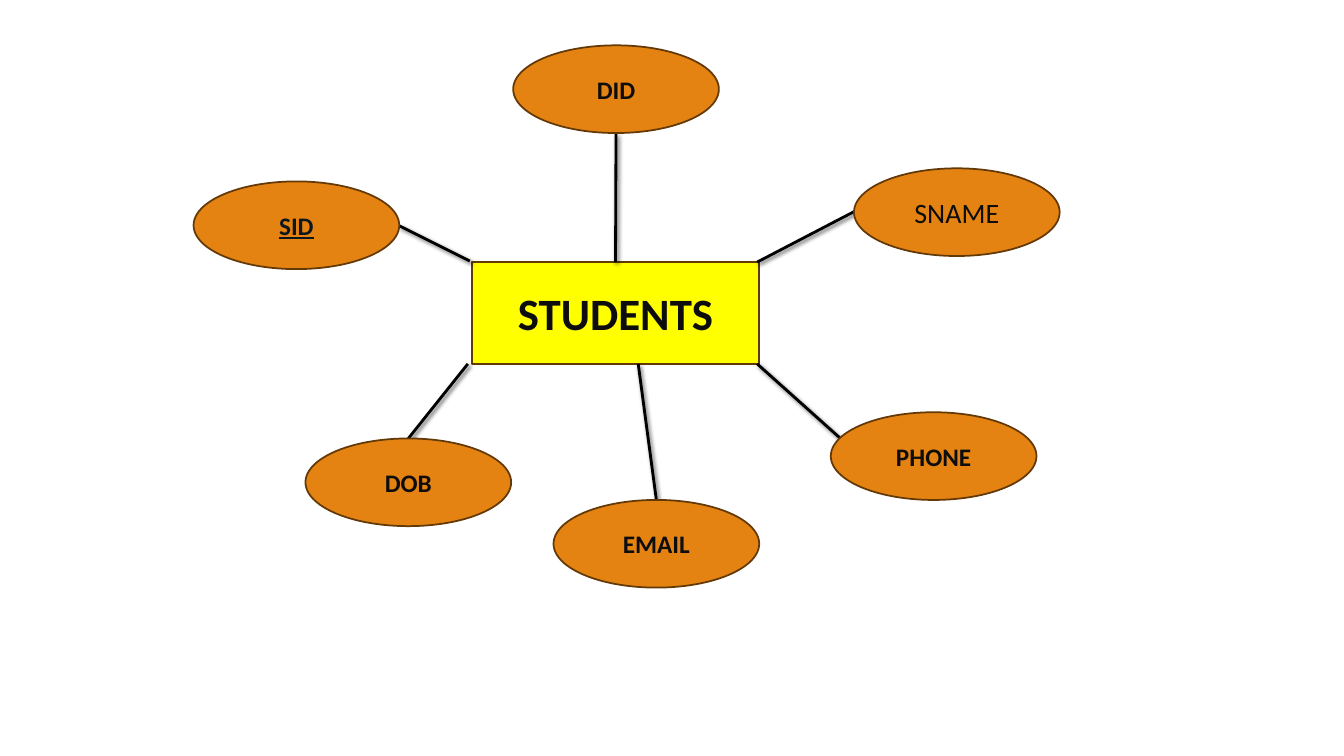
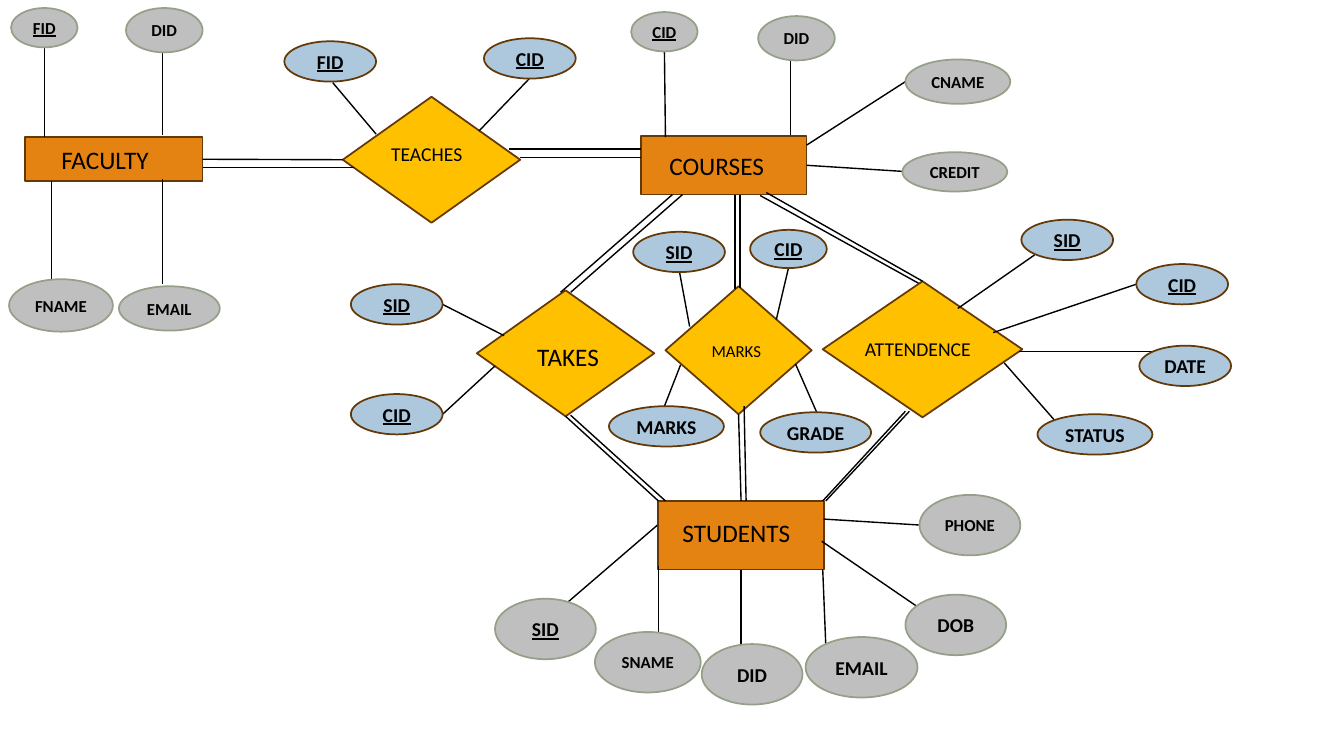
import math
import pptx
import pptx.util
import pptx.dml.color
import pptx.enum.shapes
import pptx.enum.text
import pptx.oxml
import pptx.oxml.ns

Inches, Pt = pptx.util.Inches, pptx.util.Pt
FORMS = pptx.enum.shapes.MSO_SHAPE
ALIGN = pptx.enum.text.PP_ALIGN
FONT = "Calibri"
HUES = {
    "black": "000000", "ink": "0D0D0D", "navy": "0D171F", "brown": "643908",
    "orange": "E48312", "yellow": "FFFF00", "gold": "FFC000",
    "grey": "BFBFBF", "sage": "94A088", "blue": "ADC8DD",
}
SHADE = (
    '<a:outerShdw blurRad="38100" dist="25400" dir="2700000" rotWithShape="0">'
    '<a:srgbClr val="000000"><a:alpha val="60000"/></a:srgbClr></a:outerShdw>'
)

# Attribute: name, place from the node's corner, size, key, line from, line to
STAR = [
    ("DID", (0.41, -2.15, 2.04, 0.87), 18, False, (1.43, 0), (1.43, -1.27)),
    ("SID", (-2.76, -0.8, 2.04, 0.87), 18, True, (-0.02, -0.01), (-0.72, -0.36)),
    ("DOB", (-1.65, 1.75, 2.04, 0.87), 18, False, (-0.04, 1.01), (-0.63, 1.75)),
    ("SNAME", (3.79, -0.93, 2.04, 0.87), 20, False, (2.83, 0), (3.79, -0.5)),
    ("EMAIL", (0.81, 2.36, 2.04, 0.87), 18, False, (1.65, 1.01), (1.83, 2.36)),
    ("PHONE", (3.56, 1.49, 2.04, 0.87), 18, False, (2.83, 1.01), (3.69, 1.78)),
]

# Node: name, box, label place from the corner (left, top, width), size, attributes
ENTITIES = [
    ("FACULTY", (0.25, 1.36, 1.76, 0.44), (0.26, 0.02, 1.1), 18, [
        ("FID", (-0.14, -1.28, 0.66, 0.39), 12, True, (0.19, 0), (0.19, -0.9)),
        ("DID", (1, -1.28, 0.76, 0.44), 12, False, (1.36, -0.02), (1.36, -0.9)),
        ("FNAME", (-0.16, 1.41, 1.03, 0.52), 12, False, (0.26, 0.44), (0.26, 1.48)),
        ("EMAIL", (0.93, 1.48, 1, 0.44), 12, False, (1.36, 0.42), (1.36, 1.46)),
    ]),
    ("COURSES", (6.36, 1.35, 1.64, 0.58), (0.18, 0.09, 1.3), 18, [
        ("CID", (-0.1, -1.23, 0.66, 0.39), 12, True, (0.24, 0.01), (0.23, -0.84)),
        ("DID", (1.16, -1.19, 0.76, 0.44), 12, False, (1.48, -0.01), (1.48, -0.75)),
        ("CNAME", (2.62, -0.76, 1.04, 0.44), 12, False, (1.64, 0.09), (2.62, -0.54)),
        ("CREDIT", (2.59, 0.16, 1.04, 0.39), 12, False, (1.64, 0.29), (2.59, 0.35)),
    ]),
    ("STUDENTS", (6.53, 4.97, 1.64, 0.68), (0.14, 0.11, 1.75), 18, [
        ("SID", (-1.62, 0.97, 1, 0.6), 14, True, (-0.01, 0.24), (-0.94, 1.04)),
        ("SNAME", (-0.63, 1.3, 1.05, 0.6), 12, False, (0, 0.65), (0, 1.34)),
        ("DID", (0.43, 1.42, 1, 0.6), 14, False, (0.82, 0.68), (0.82, 1.42)),
        ("EMAIL", (1.46, 1.35, 1.11, 0.6), 14, False, (1.63, 0.68), (1.66, 1.42)),
        ("DOB", (2.45, 0.93, 1, 0.6), 14, False, (1.62, 0.4), (2.57, 1.05)),
        ("PHONE", (2.59, -0.06, 1, 0.6), 12, False, (1.64, 0.18), (2.61, 0.24)),
    ]),
]
RELATIONS = [
    ("TEACHES", (3.4, 0.96, 1.76, 1.25), (0.38, 0.4, 0.98), 14, [
        ("FID", (-0.58, -0.55, 0.91, 0.4), 14, True, (0.33, 0.37), (-0.1, -0.14)),
        ("CID", (1.4, -0.58, 0.91, 0.4), 14, True, (1.35, 0.34), (1.85, -0.18)),
    ]),
    ("TAKES", (4.73, 2.88, 1.76, 1.25), (0.5, 0.46, 1.19), 18, [
        ("SID", (-1.25, -0.06, 0.91, 0.4), 14, True, (0.27, 0.45), (-0.34, 0.14)),
        ("CID", (-1.25, 1.03, 0.91, 0.4), 14, True, (0.18, 0.75), (-0.34, 1.23)),
    ]),
    ("MARKS", (6.6, 2.84, 1.45, 1.27), (0.36, 0.49, 0.76), 12, [
        ("SID", (-0.32, -0.54, 0.91, 0.4), 14, True, (0.24, 0.4), (0.14, -0.14)),
        ("CID", (0.84, -0.56, 0.76, 0.38), 14, True, (1.1, 0.33), (1.22, -0.18)),
        ("MARKS", (-0.56, 1.19, 1.14, 0.4), 14, False, (0.15, 0.78), (-0.01, 1.19)),
        ("GRADE", (0.94, 1.25, 1.1, 0.4), 14, False, (1.29, 0.77), (1.5, 1.25)),
    ]),
    ("ATTENDENCE", (8.16, 2.79, 1.98, 1.35), (0.32, 0.5, 1.33), 14, [
        ("SID", (1.97, -0.61, 0.91, 0.4), 14, True, (1.34, 0.27), (2.1, -0.26)),
        ("CID", (3.11, -0.17, 0.91, 0.4), 14, True, (1.69, 0.51), (3.11, 0.03)),
        ("DATE", (3.14, 0.64, 0.91, 0.4), 14, False, (1.95, 0.7), (3.27, 0.7)),
        ("STATUS", (2.13, 1.32, 1.14, 0.4), 14, False, (1.8, 0.81), (2.3, 1.38)),
    ]),
]
# Two lines for each link between an entity and a relation
LINKS = [
    ("FACULTY", "TEACHES", [((2.01, 1.58), (3.4, 1.58)), ((2.01, 1.66), (3.51, 1.66))]),
    ("TEACHES", "COURSES", [((5.16, 1.56), (6.36, 1.56)), ((5.05, 1.48), (6.36, 1.48))]),
    ("COURSES", "TAKES", [((6.67, 1.93), (5.56, 2.9)), ((6.77, 1.93), (5.66, 2.9))]),
    ("TAKES", "STUDENTS", [((5.61, 4.13), (6.53, 4.97)), ((5.66, 4.12), (6.6, 4.97))]),
    ("COURSES", "MARKS", [((7.29, 1.93), (7.29, 2.87)), ((7.34, 1.93), (7.34, 2.86))]),
    ("MARKS", "STUDENTS", [((7.33, 4.11), (7.35, 4.97)), ((7.38, 4.03), (7.4, 4.97))]),
    ("COURSES", "ATTENDENCE", [((7.6, 1.91), (9.15, 2.79)), ((7.54, 1.94), (9.11, 2.81))]),
    ("ATTENDENCE", "STUDENTS", [((8.98, 4.08), (8.16, 4.97)), ((9.02, 4.08), (8.19, 4.97))]),
]


def rgb(hue):
    return pptx.dml.color.RGBColor.from_string(HUES[hue])


def write(frame, text, size, hue="black", bold=False, under=False, align=ALIGN.LEFT):
    para = frame.paragraphs[0]
    para.alignment = align
    run = para.add_run()
    run.text = text
    font = run.font
    font.name, font.size = FONT, Pt(size)
    font.bold, font.underline = bold, under
    font.color.rgb = rgb(hue)


def draw(slide, form, box, fill, edge="brown"):
    shape = slide.shapes.add_shape(form, *map(Inches, box))
    shape.shadow.inherit = False
    shape.fill.solid()
    shape.fill.fore_color.rgb = rgb(fill)
    shape.line.color.rgb = rgb(edge)
    shape.line.width = Pt(1.25)
    return shape


def center(shape, text, size, **style):
    """Write one centred line in a shape."""
    frame = shape.text_frame
    frame.word_wrap = False
    frame.margin_left = frame.margin_right = 0
    frame.margin_top = frame.margin_bottom = 0
    frame.vertical_anchor = pptx.enum.text.MSO_ANCHOR.MIDDLE
    write(frame, text, size, align=ALIGN.CENTER, **style)


def label(slide, box, place, text, size):
    left, top, wide = place
    area = (box[0] + left, box[1] + top, wide, size / 72 + 0.15)
    frame = slide.shapes.add_textbox(*map(Inches, area)).text_frame
    frame.word_wrap = True
    write(frame, text, size)


def side(shape, point):
    """Return the side whose middle lies at the point, or None."""
    left, top = shape.left.inches, shape.top.inches
    wide, high = shape.width.inches, shape.height.inches
    mids = [(left + wide / 2, top), (left, top + high / 2),
            (left + wide / 2, top + high), (left + wide, top + high / 2)]
    for i, mid in enumerate(mids):
        if math.dist(mid, point) < 0.02:
            return i
    return None


def wire(slide, start, end, first, last=None, width=1, shade=""):
    """Draw a line, joined to its nodes where it meets the middle of a side."""
    line = slide.shapes.add_connector(
        pptx.enum.shapes.MSO_CONNECTOR.STRAIGHT, *map(Inches, start + end))
    line.line.color.rgb = rgb("black")
    line.line.width = Pt(width)
    line._element.spPr.append(pptx.oxml.parse_xml(
        f'<a:effectLst {pptx.oxml.ns.nsdecls("a")}>{shade}</a:effectLst>'))
    for node, point, join in ((first, start, line.begin_connect),
                              (last, end, line.end_connect)):
        spot = side(node, point) if node is not None else None
        if spot is not None:
            join(node, spot)


def shift(box, place):
    return (box[0] + place[0], box[1] + place[1]) + place[2:]


def attrs(slide, box, node, items, fill, edge, look, **stroke):
    """Surround a node with its attribute ovals; look styles each name."""
    for name, place, size, key, start, end in items:
        wire(slide, shift(box, start), shift(box, end), node, **stroke)
        oval = draw(slide, FORMS.OVAL, shift(box, place), fill, edge)
        center(oval, name, size, under=key, **look(name, key))


def star(slide, box):
    node = draw(slide, FORMS.RECTANGLE, box, "yellow")
    center(node, "STUDENTS", 32, hue="ink", bold=True)

    def look(name, key):
        return {"hue": "navy" if key else "ink", "bold": name != "SNAME"}

    attrs(slide, box, node, STAR, "orange", "brown", look, width=2, shade=SHADE)


def schema(slide):
    """Draw the whole entity and relation diagram."""
    groups = [(ENTITIES, FORMS.RECTANGLE, "orange", "grey", "sage"),
              (RELATIONS, FORMS.DIAMOND, "gold", "blue", "brown")]
    nodes = {}
    for items, form, fill, _, _ in groups:
        for name, box, place, size, _ in items:
            nodes[name] = draw(slide, form, box, fill)
            label(slide, box, place, name, size)
    for first, last, pair in LINKS:
        for start, end in pair:
            wire(slide, start, end, nodes[first], nodes[last])
    for items, _, _, fill, edge in groups:
        for name, box, _, _, parts in items:
            attrs(slide, box, nodes[name], parts, fill, edge,
                  lambda name, key: {"bold": True})


def main():
    deck = pptx.Presentation()
    deck.slide_width, deck.slide_height = Inches(13.33), Inches(7.5)
    blank = deck.slide_layouts[6]
    star(deck.slides.add_slide(blank), (4.68, 2.6, 2.85, 1.01))
    schema(deck.slides.add_slide(blank))
    deck.save("out.pptx")


if __name__ == "__main__":
    main()
